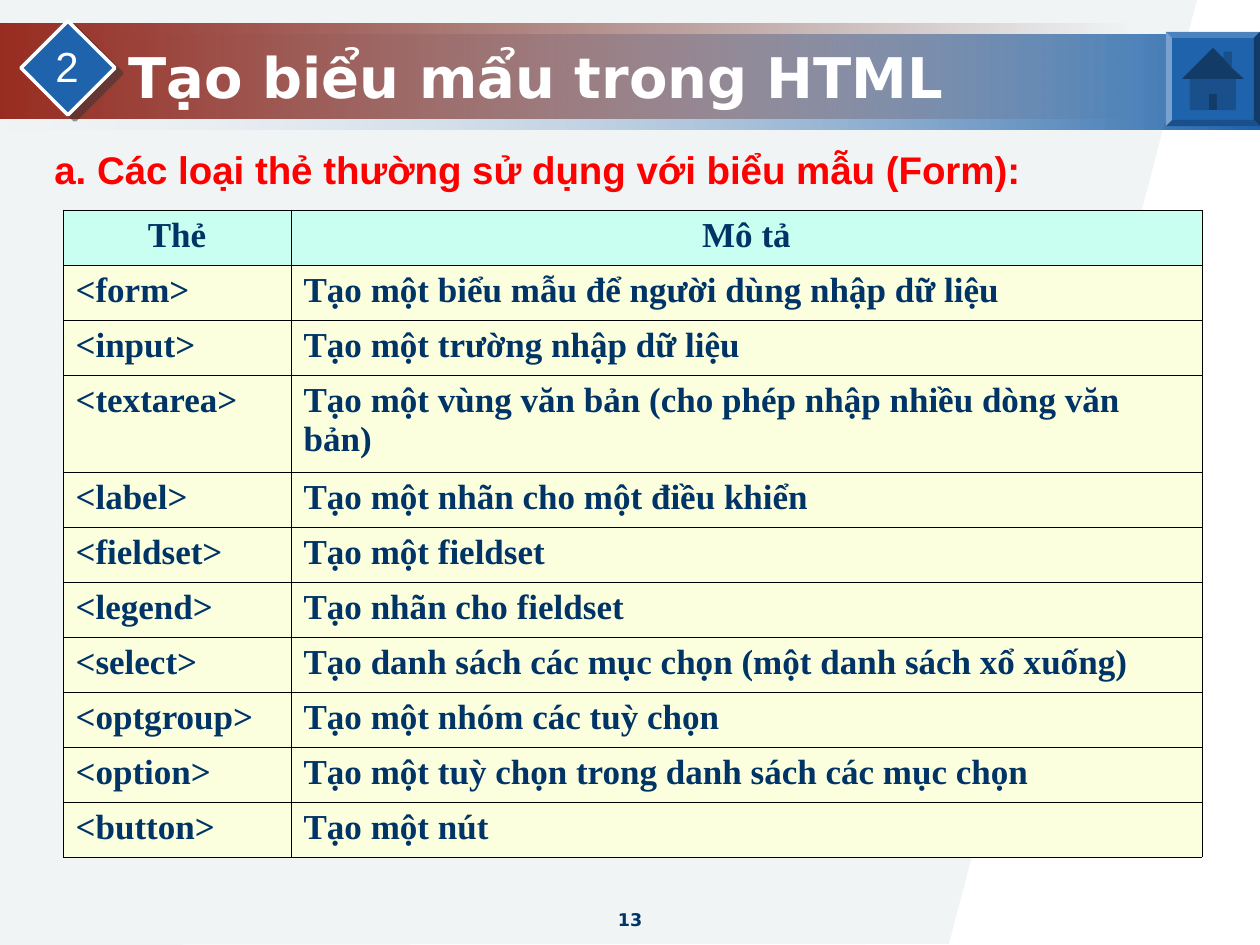
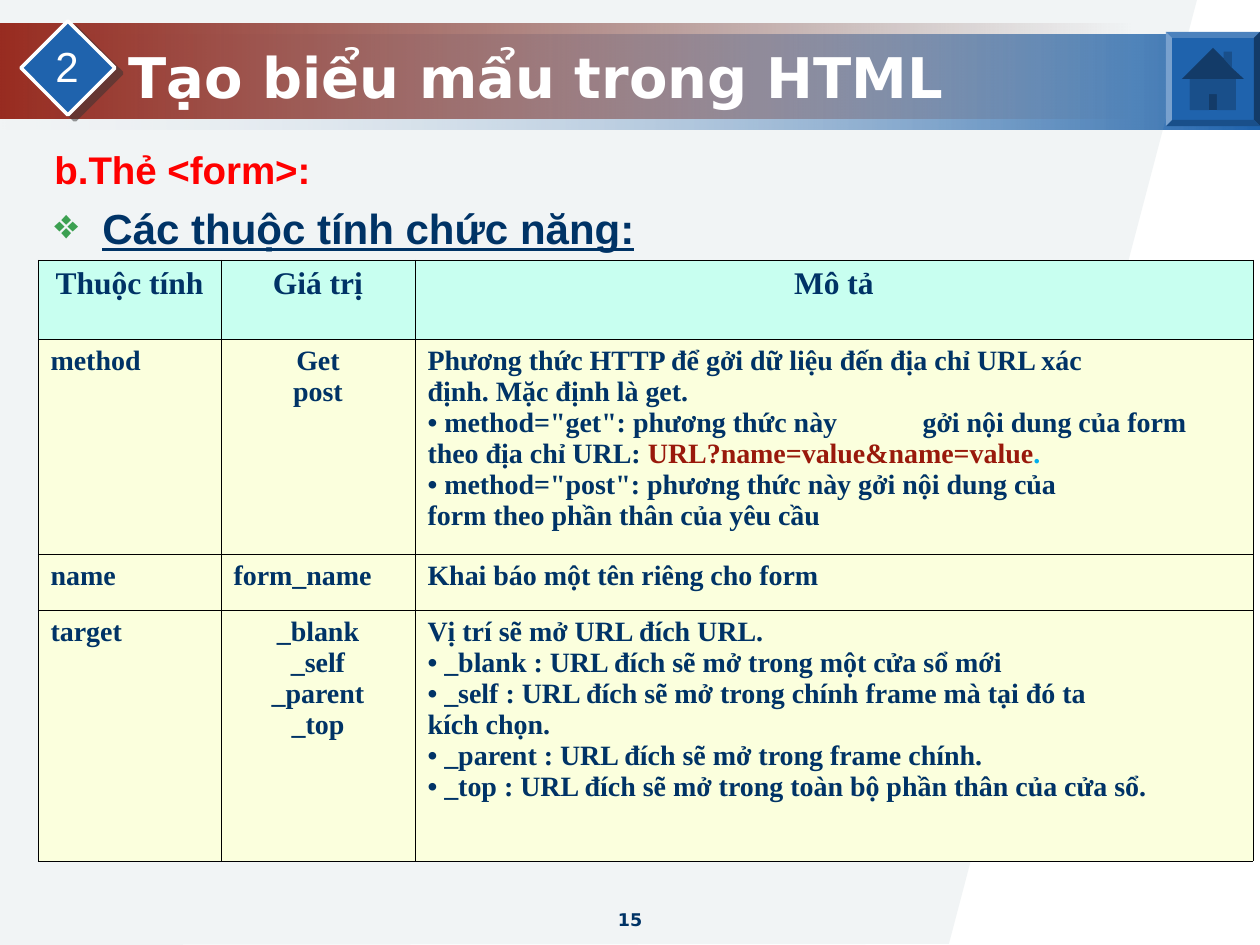
"""Build two slides on HTML form tags and attributes."""
import pptx
import pptx.dml.color
import pptx.enum.shapes
import pptx.enum.text
import pptx.oxml
import pptx.oxml.ns
import pptx.util

SCALE = 914400 / 126
ALIGN = pptx.enum.text.PP_ALIGN
SHAPE = pptx.enum.shapes.MSO_SHAPE
qn = pptx.oxml.ns.qn

THEME = {
    "blue": "1F63AD", "pale": "E3EBF5", "red": "99190B", "maroon": "470C05",
    "grey": "97ADB5", "navy": "003366", "white": "FFFFFF", "heading": "FF0000",
    "bullet": "3CA051", "cyan": "00AFEF", "shadow": "333333", "border": "000000",
    "head_fill": "C8FFF0", "body_fill": "FBFFDD",
    "light": "79A1CE", "lighter": "4C82BD", "dark": "194F8A", "darker": "133B68",
    "sans": "DejaVu Sans", "body": "Arial", "serif": "Times New Roman",
    "title_size": 32, "badge_size": 24, "lead_size": 22, "point_size": 24,
    "page_size": 10,
}

TITLE = "Tạo biểu mẩu trong HTML"
SECTION = "2"

SLIDES = [
    {
        "page": "13",
        "lead": "a. Các loại thẻ thường sử dụng với biểu mẫu (Form):",
        "points": [],
        "table": {
            "origin": (63, 210), "columns": (228, 911),
            "rows": (55, 55, 55, 97) + (55,) * 7,
            "sizes": (20, 20), "centred": set(), "tabs": {},
            "cells": [
                ("Thẻ", "Mô tả"),
                ("<form>", "Tạo một biểu mẫu để người dùng nhập dữ liệu"),
                ("<input>", "Tạo một trường nhập dữ liệu"),
                ("<textarea>", "Tạo một vùng văn bản (cho phép nhập nhiều dòng văn bản)"),
                ("<label>", "Tạo một nhãn cho một điều khiển"),
                ("<fieldset>", "Tạo một fieldset"),
                ("<legend>", "Tạo nhãn cho fieldset"),
                ("<select>", "Tạo danh sách các mục chọn (một danh sách xổ xuống)"),
                ("<optgroup>", "Tạo một nhóm các tuỳ chọn"),
                ("<option>", "Tạo một tuỳ chọn trong danh sách các mục chọn"),
                ("<button>", "Tạo một nút"),
            ],
        },
    },
    {
        "page": "15",
        "lead": "b.Thẻ <form>:",
        "points": ["Các thuộc tính chức năng:"],
        "table": {
            "origin": (38, 260), "columns": (183, 194, 838),
            "rows": (79, 215, 56, 251),
            "sizes": (18, 16), "centred": {(1, 1), (3, 1)}, "tabs": {(1, 2): 495},
            "cells": [
                ("Thuộc tính", "Giá trị", "Mô tả"),
                ("method", ["Get", "post"], [
                    "Phương thức HTTP để gởi dữ liệu đến địa chỉ URL xác",
                    "định. Mặc định là get.",
                    [('• method="get": phương thức này\tgởi nội dung của form '
                      "theo địa chỉ URL: ", "navy"),
                     ("URL?name=value&name=value", "red"), (".", "cyan")],
                    '• method="post": phương thức này gởi nội dung của',
                    "form theo phần thân của yêu cầu",
                ]),
                ("name", "form_name", "Khai báo một tên riêng cho form"),
                ("target", ["_blank", "_self", "_parent", "_top"], [
                    "Vị trí sẽ mở URL đích URL.",
                    "• _blank : URL đích sẽ mở trong một cửa sổ mới",
                    "• _self : URL đích sẽ mở trong chính frame mà tại đó ta",
                    "kích chọn.",
                    "• _parent : URL đích sẽ mở trong frame chính.",
                    "• _top : URL đích sẽ mở trong toàn bộ phần thân của cửa sổ.",
                ]),
            ],
        },
    },
]

BACKDROP = [(0, 0), (1197, 0), (949, 944), (0, 945)]
HOME_BUTTON = [
    ("blue", [(1166, 32), (1260, 32), (1260, 126), (1166, 126)]),
    ("lighter", [(1166, 32), (1260, 32), (1254, 38), (1172, 38)]),
    ("darker", [(1260, 32), (1260, 126), (1254, 120), (1254, 38)]),
    ("dark", [(1260, 126), (1166, 126), (1172, 120), (1254, 120)]),
    ("light", [(1166, 126), (1166, 32), (1172, 38), (1172, 120)]),
    ("darker", [(1213, 48), (1224, 59), (1224, 52), (1232, 52), (1232, 68), (1244, 79),
                (1236, 79), (1236, 110), (1190, 110), (1190, 79), (1182, 79)]),
    ("dark", [(1224, 59), (1224, 52), (1232, 52), (1232, 68)]),
    ("dark", [(1209, 94), (1217, 94), (1217, 110), (1236, 110), (1236, 79),
              (1190, 79), (1190, 110), (1209, 110)]),
]


def px(length):
    return pptx.util.Emu(round(length * SCALE))


def rgb(name):
    return pptx.dml.color.RGBColor.from_string(THEME[name])


def add_xml(parent, markup):
    namespaces = pptx.oxml.ns.nsdecls("a")
    tag, rest = markup.split(" ", 1)
    child = pptx.oxml.parse_xml(f"{tag} {namespaces} {rest}")
    parent.append(child)


def style_span(span, font, size, colour, bold=True):
    span.font.name = THEME[font]
    span.font.size = pptx.util.Pt(size)
    span.font.bold = bold
    span.font.color.rgb = rgb(colour)


def write_para(para, content, font, size, colour, bold=True, align=ALIGN.LEFT):
    para.alignment = align
    if isinstance(content, str):
        para.text = content
        style_span(para.runs[0], font, size, colour, bold)
        return
    for text, span_colour in content:
        span = para.add_run()
        span.text = text
        style_span(span, font, size, span_colour, bold)


def add_text(page, area, content, font, size, colour, bold=True, align=ALIGN.LEFT):
    box = page.shapes.add_textbox(*map(px, area))
    box.text_frame.word_wrap = True
    write_para(box.text_frame.paragraphs[0], content, font, size, colour, bold, align)
    return box


def add_outline(page, points, colour):
    builder = page.shapes.build_freeform(*points[0], scale=SCALE)
    builder.add_line_segments(points[1:], close=True)
    shape = builder.convert_to_shape()
    shape.shadow.inherit = False
    shape.fill.solid()
    shape.fill.fore_color.rgb = rgb(colour)
    shape.line.fill.background()
    return shape


def add_band(page, area, colours, clear_stop):
    band = page.shapes.add_shape(SHAPE.RECTANGLE, *map(px, area))
    band.shadow.inherit = False
    band.line.fill.background()
    band.fill.gradient()
    band.fill.gradient_angle = 0
    for stop, colour in zip(band.fill.gradient_stops, colours):
        stop.color.rgb = rgb(colour)
    stops = list(band.element.iter(qn("a:srgbClr")))
    add_xml(stops[clear_stop], '<a:alpha val="0"/>')


def add_frame(page, number):
    add_band(page, (0, 35, 1260, 95), ("pale", "blue"), 0)
    add_band(page, (0, 24, 1134, 95), ("red", "maroon"), 1)
    backdrop = add_outline(page, BACKDROP, "grey")
    add_xml(next(backdrop.element.iter(qn("a:srgbClr"))), '<a:alpha val="13000"/>')
    add_text(page, (483, 903, 294, 35), number, "sans", THEME["page_size"], "navy",
             align=ALIGN.CENTER)

    title = page.shapes.title
    title.element.getparent().append(title.element)
    title.left, title.top, title.width, title.height = map(px, (116, 37, 1144, 78))
    frame = title.text_frame
    frame.auto_size = pptx.enum.text.MSO_AUTO_SIZE.NONE
    frame.vertical_anchor = pptx.enum.text.MSO_ANCHOR.MIDDLE
    write_para(frame.paragraphs[0], TITLE, "sans", THEME["title_size"], "white")

    badge = page.shapes.add_shape(SHAPE.DIAMOND, *map(px, (21, 21, 94, 94)))
    badge.shadow.inherit = False
    badge.fill.solid()
    badge.fill.fore_color.rgb = rgb("blue")
    badge.line.color.rgb = rgb("white")
    badge.line.width = pptx.util.Pt(2)
    add_xml(badge.element.spPr.find(qn("a:effectLst")),
            '<a:outerShdw blurRad="0" dist="63500" dir="2220000" algn="ctr" rotWithShape="0">'
            f'<a:srgbClr val="{THEME["shadow"]}"><a:alpha val="50000"/></a:srgbClr>'
            "</a:outerShdw>")
    label = add_text(page, (43, 34, 48, 63), SECTION, "body", THEME["badge_size"], "white",
                     bold=False, align=ALIGN.CENTER)
    label.text_frame.word_wrap = False
    for colour, points in HOME_BUTTON:
        add_outline(page, points, colour)


def add_lead(page, lead, points):
    box = add_text(page, (42, 140, 1218, 703), lead, "body", THEME["lead_size"], "heading")
    for point in points:
        para = box.text_frame.add_paragraph()
        properties = para._p.get_or_add_pPr()
        properties.set("marL", str(px(48)))
        properties.set("indent", str(px(-48)))
        add_xml(properties, f'<a:buClr ><a:srgbClr val="{THEME["bullet"]}"/></a:buClr>')
        add_xml(properties, '<a:buChar char="❖"/>')
        write_para(para, point, "body", THEME["point_size"], "navy")
        para.space_before = pptx.util.Pt(6)
        para.runs[0].font.underline = True


def format_cell(cell, content, size, fill, align, tab):
    cell.fill.solid()
    cell.fill.fore_color.rgb = rgb(fill)
    lines = [content] if isinstance(content, str) else content
    for index, line in enumerate(lines):
        frame = cell.text_frame
        para = frame.add_paragraph() if index else frame.paragraphs[0]
        if tab:
            add_xml(para._p.get_or_add_pPr(),
                    f'<a:tabLst ><a:tab pos="{px(tab)}" algn="l"/></a:tabLst>')
        write_para(para, line, "serif", size, "navy", align=align)
    properties = cell._tc.get_or_add_tcPr()
    for index, side in enumerate(("lnL", "lnR", "lnT", "lnB")):
        border = pptx.oxml.parse_xml(
            f'<a:{side} {pptx.oxml.ns.nsdecls("a")} w="{pptx.util.Pt(0.06)}"><a:solidFill>'
            f'<a:srgbClr val="{THEME["border"]}"/></a:solidFill></a:{side}>')
        properties.insert(index, border)


def add_grid(page, grid):
    rows, columns = grid["rows"], grid["columns"]
    area = (*grid["origin"], sum(columns), sum(rows))
    table = page.shapes.add_table(len(rows), len(columns), *map(px, area)).table
    table.first_row = table.horz_banding = False
    for column, width in zip(table.columns, columns):
        column.width = px(width)
    for row, height in zip(table.rows, rows):
        row.height = px(height)
    for r, contents in enumerate(grid["cells"]):
        size = grid["sizes"][min(r, 1)]
        fill = "body_fill" if r else "head_fill"
        for c, content in enumerate(contents):
            centred = r == 0 or (r, c) in grid["centred"]
            format_cell(table.cell(r, c), content, size, fill,
                        ALIGN.CENTER if centred else ALIGN.LEFT, grid["tabs"].get((r, c)))


def main():
    deck = pptx.Presentation()
    deck.slide_width, deck.slide_height = px(1260), px(945)
    for content in SLIDES:
        page = deck.slides.add_slide(deck.slide_layouts[5])
        add_frame(page, content["page"])
        add_lead(page, content["lead"], content["points"])
        add_grid(page, content["table"])
    deck.save("out.pptx")


if __name__ == "__main__":
    main()
